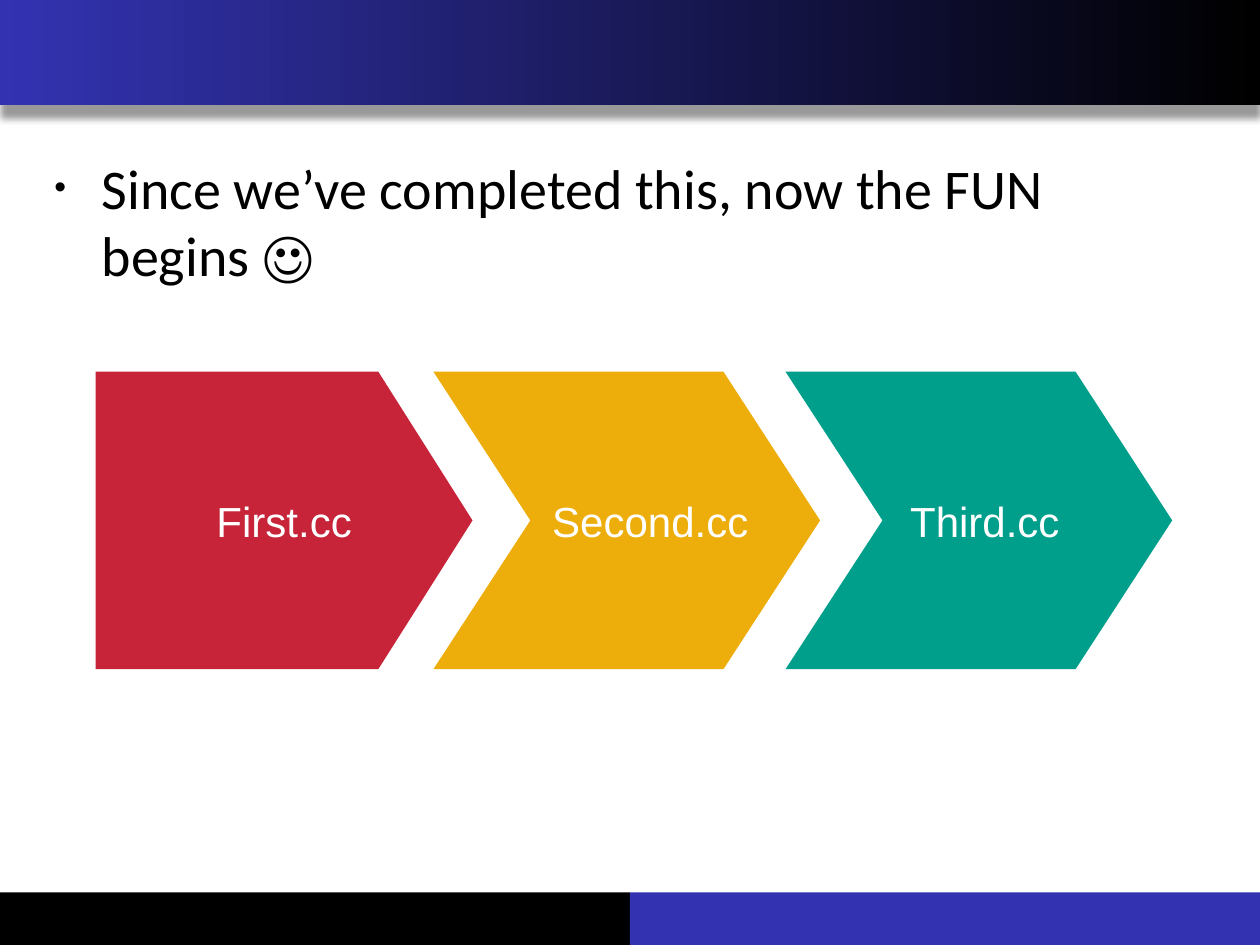
from pptx import Presentation
from pptx.dml.color import RGBColor
from pptx.enum.shapes import MSO_SHAPE
from pptx.enum.text import MSO_ANCHOR, PP_ALIGN
from pptx.oxml import parse_xml
from pptx.oxml.ns import nsdecls
from pptx.util import Pt

COLORS = {
    "black": "000000", "blue": "3333B2", "white": "FFFFFF",
    "red": "C7243A", "gold": "EDAD0B", "teal": "009F8C",
}
STEPS = [
    ("First.cc", "red", 54.7, 215.3, 0, 0),
    ("Second.cc", "gold", 247.7, 221, 55.4, 26.7),
    ("Third.cc", "teal", 448.9, 221, 55.4, 6.7),
]


def tint(name):
    """Return the named colour."""
    return RGBColor.from_string(COLORS[name])


def paint(shape, name):
    """Give a shape a flat fill with no line or shadow."""
    shape.shadow.inherit = False
    shape.fill.solid()
    shape.fill.fore_color.rgb = tint(name)
    shape.line.fill.background()


def style(para, size, face, name):
    """Set the font of every run in a paragraph."""
    for run in para.runs:
        run.font.size = Pt(size)
        run.font.name = face
        run.font.color.rgb = tint(name)


def add_header(slide, left, top, width, height):
    """Draw the top band with its gradient and soft shadow."""
    band = slide.shapes.add_shape(
        MSO_SHAPE.RECTANGLE, Pt(left), Pt(top), Pt(width), Pt(height))
    paint(band, "blue")
    band.fill.gradient()
    band.fill.gradient_angle = 180
    for stop, name, place in zip(band.fill.gradient_stops, ("black", "blue"), (0, 1)):
        stop.color.rgb = tint(name)
        stop.position = place
    shade = parse_xml(
        f'<a:effectLst {nsdecls("a")}><a:outerShdw blurRad="{Pt(4)}" dist="{Pt(7)}" '
        f'dir="5400000" algn="t" rotWithShape="0"><a:srgbClr val="{COLORS["black"]}">'
        '<a:alpha val="40000"/></a:srgbClr></a:outerShdw></a:effectLst>')
    props = band.element.spPr
    props.replace(props.find("{*}effectLst"), shade)


def add_footer(slide, left, top, width, height):
    """Draw the two halves of the bottom band."""
    half = width / 2
    for i, name in enumerate(("black", "blue")):
        part = slide.shapes.add_shape(
            MSO_SHAPE.RECTANGLE, Pt(left + i * half), Pt(top), Pt(half), Pt(height))
        paint(part, name)


def add_body(slide, left, top, width, height):
    """Write the bulleted sentence."""
    box = slide.shapes.add_textbox(Pt(left), Pt(top), Pt(width), Pt(height))
    frame = box.text_frame
    frame.word_wrap = True
    frame.text = "Since we’ve completed this, now the FUN begins ☺"
    para = frame.paragraphs[0]
    props = para._p.get_or_add_pPr()
    props.set("marL", str(Pt(27)))
    props.set("indent", str(Pt(-27)))
    for tag in ('buSzPct val="60000"', 'buFont typeface="Arial"', 'buChar char="•"'):
        props.append(parse_xml(f'<a:{tag} {nsdecls("a")}/>'))
    style(para, 32, "Calibri", "black")


def add_step(slide, left, top, width, height, label, name, notch, shift):
    """Draw one arrow block, with an optional notch, and its label."""
    right, low, mid = left + width, top + height, top + height / 2
    neck = right - width / 4
    points = [(neck, top), (right, mid), (neck, low), (left, low)]
    if notch:
        points.append((left + notch, mid))
    pen = slide.shapes.build_freeform(Pt(left), Pt(top))
    pen.add_line_segments([(Pt(x), Pt(y)) for x, y in points])
    block = pen.convert_to_shape()
    paint(block, name)
    frame = block.text_frame
    frame.word_wrap = False
    frame.vertical_anchor = MSO_ANCHOR.MIDDLE
    frame.margin_left = Pt(7.2 + shift)
    frame.text = label
    para = frame.paragraphs[0]
    para.alignment = PP_ALIGN.CENTER
    style(para, 24, "Arial", "white")


def main():
    """Build and save the slide."""
    deck = Presentation()
    deck.slide_width, deck.slide_height = Pt(720), Pt(540)
    slide = deck.slides.add_slide(deck.slide_layouts[6])
    add_footer(slide, 0, 510, 720, 30)
    add_header(slide, 0, 0, 720, 60)
    add_body(slide, 24, 84, 660, 398)
    for label, name, left, width, notch, shift in STEPS:
        add_step(slide, left, 212.4, width, 170, label, name, notch, shift)
    deck.save("out.pptx")


if __name__ == "__main__":
    main()
